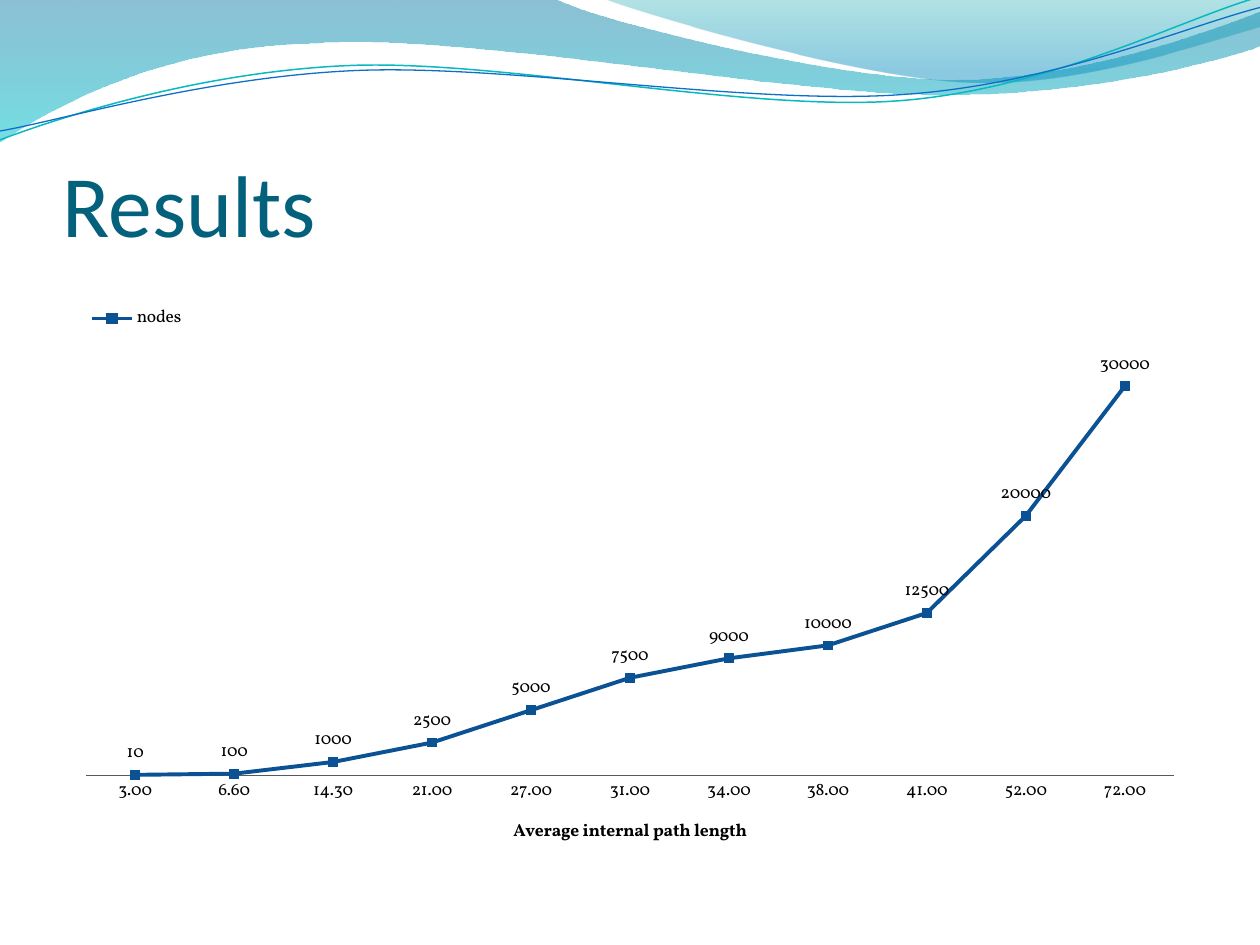
from math import cos, radians, sin

from lxml.etree import SubElement
from pptx import Presentation
from pptx.chart.data import CategoryChartData
from pptx.dml.color import RGBColor
from pptx.enum.chart import (XL_CHART_TYPE, XL_LABEL_POSITION, XL_LEGEND_POSITION,
                             XL_MARKER_STYLE, XL_TICK_MARK)
from pptx.enum.text import MSO_ANCHOR
from pptx.oxml.ns import qn
from pptx.util import Inches, Pt

COLORS = {
    "title": "04617B", "text": "000000", "axis": "595959", "nodes": "0B5294",
    "band_top": "0074A1", "band_bottom": "00C6CF",
    "crest_top": "00A1A9", "crest_bottom": "008BBF",
    "teal_line": "0AB8BF", "blue_line": "0F6FC6",
}
WAVE_TILT = -2.7

# Each outline is a start point followed by segments:
# two numbers for a straight line, six for a cubic curve.
BAND = [(0, 0), (4.4, -0.01), (4.76, 0.17, 6.64, 0.63, 7.58, 0.63),
        (8.53, 0.63, 9.58, 0.26, 10, 0.09), (10.01, 0.36),
        (9.83, 0.44, 8.7, 0.76, 7.46, 0.75), (6.22, 0.75, 3.82, 0.28, 2.57, 0.34),
        (1.29, 0.36, 0.46, 0.83, -0.01, 1.13)]
CREST = [(4.79, -0.01), (5.09, 0.11, 6.82, 0.62, 7.69, 0.65),
         (8.56, 0.69, 9.61, 0.32, 10, 0.21), (10, 0)]
TEAL_WAVE = [(0, 1.11), (0.48, 0.93, 1.58, 0.57, 2.77, 0.52),
             (3.95, 0.47, 5.93, 0.89, 7.13, 0.8), (8.33, 0.71, 9.38, 0.15, 9.98, -0.02)]
BLUE_WAVE = [(0, 1.04), (0.47, 0.96, 1.64, 0.61, 2.83, 0.56),
             (4.03, 0.51, 5.97, 0.84, 7.17, 0.75), (8.36, 0.67, 9.41, 0.21, 10, 0.06)]

NODES_BY_PATH_LENGTH = {
    3: 10, 6.6: 100, 14.3: 1000, 21: 2500, 27: 5000, 31: 7500,
    34: 9000, 38: 10000, 41: 12500, 52: 20000, 72: 30000,
}


def color(name):
    return RGBColor.from_string(COLORS[name])


def level(segment, center):
    """Turn a segment's points about center so that the tilt is taken out."""
    cosine, sine = cos(radians(-WAVE_TILT)), sin(radians(-WAVE_TILT))
    turned = []
    for x, y in zip(segment[::2], segment[1::2]):
        dx, dy = x - center[0], y - center[1]
        turned += [center[0] + dx * cosine - dy * sine,
                   center[1] + dx * sine + dy * cosine]
    return turned


def add_outline(slide, outline, closed):
    points = [(Inches(x), Inches(y)) for segment in outline
              for x, y in zip(segment[::2], segment[1::2])]
    builder = slide.shapes.build_freeform(*points[0])
    builder.add_line_segments(points[1:], close=closed)
    shape = builder.convert_to_shape()
    shape.shadow.inherit = False
    bend_curves(shape, outline)
    return shape


def bend_curves(shape, outline):
    """Join the three line steps of each cubic segment into one curve."""
    steps = iter(list(shape._element.iter(qn("a:lnTo"))))
    for segment in outline[1:]:
        first = next(steps)
        if len(segment) == 2:
            continue
        curve = first.makeelement(qn("a:cubicBezTo"))
        first.addprevious(curve)
        for step in (first, next(steps), next(steps)):
            curve.append(step[0])
            step.getparent().remove(step)


def add_gradient_wave(slide, outline, stops):
    """Stops are (position %, colour name, opacity %), from top to bottom."""
    wave = add_outline(slide, outline, closed=True)
    wave.line.fill.background()
    wave.fill.gradient()
    wave.fill.gradient_angle = 270
    for stop, (position, name, opacity) in zip(wave.fill.gradient_stops, stops):
        stop.position = position / 100
        stop.color.rgb = color(name)
    elements = wave._element.spPr.iter(qn("a:srgbClr"))
    for element, (_, _, opacity) in zip(elements, stops):
        SubElement(element, qn("a:alpha"), val=str(opacity * 1000))


def add_wave_line(slide, outline, center, name, width):
    leveled = [level(segment, center) for segment in outline]
    wave = add_outline(slide, leveled, closed=False)
    wave.rotation = WAVE_TILT
    wave.fill.background()
    wave.line.color.rgb = color(name)
    wave.line.width = Pt(width)


def add_title(slide, text):
    title = slide.shapes.add_textbox(Inches(0.5), Inches(0.77), Inches(9), Inches(1.25))
    frame = title.text_frame
    frame.word_wrap = True
    frame.vertical_anchor = MSO_ANCHOR.BOTTOM
    frame.margin_left = frame.margin_right = frame.margin_bottom = 0
    frame.margin_top = Inches(0.05)
    run = frame.paragraphs[0].add_run()
    run.text = text
    run.font.name = "Calibri"
    run.font.size = Pt(50)
    run.font.color.rgb = color("title")


def set_layout(parent, index, inner=False, **fractions):
    """Place a chart part by fractions of the chart's size."""
    for old in parent.findall(qn("c:layout")):
        parent.remove(old)
    layout = parent.makeelement(qn("c:layout"))
    parent.insert(index, layout)
    manual = SubElement(layout, qn("c:manualLayout"))
    if inner:
        SubElement(manual, qn("c:layoutTarget"), val="inner")
    for mode in ("xMode", "yMode"):
        SubElement(manual, qn(f"c:{mode}"), val="edge")
    for key, value in fractions.items():
        SubElement(manual, qn(f"c:{key}"), val=str(value))


def style_font(font, bold=False):
    font.name = "Vollkorn"
    font.size = Pt(10)
    font.bold = bold
    font.color.rgb = color("text")


def style_axes(chart):
    lengths = chart.category_axis
    lengths.major_tick_mark = lengths.minor_tick_mark = XL_TICK_MARK.NONE
    lengths.has_major_gridlines = False
    lengths.tick_labels.number_format = "0.00"
    lengths.tick_labels.number_format_is_linked = False
    lengths.format.line.color.rgb = color("axis")
    lengths.format.line.width = Pt(0.25)
    run = lengths.axis_title.text_frame.paragraphs[0].add_run()
    run.text = "Average internal path length"
    style_font(run.font, bold=True)

    counts = chart.value_axis
    counts.minimum_scale, counts.maximum_scale = 0, 35000
    counts.has_major_gridlines = False
    counts.visible = False


def style_nodes(nodes):
    nodes.smooth = False
    nodes.format.line.color.rgb = color("nodes")
    nodes.format.line.width = Pt(2.25)
    nodes.marker.style = XL_MARKER_STYLE.SQUARE
    nodes.marker.size = 5
    nodes.marker.format.fill.solid()
    nodes.marker.format.fill.fore_color.rgb = color("nodes")
    nodes.marker.format.line.color.rgb = color("nodes")
    labels = nodes.data_labels
    labels.show_value = True
    labels.position = XL_LABEL_POSITION.ABOVE
    labels.number_format = "0"
    labels.number_format_is_linked = False
    style_font(labels.font)


def add_nodes_chart(slide):
    data = CategoryChartData(number_format="0")
    data.categories = NODES_BY_PATH_LENGTH.keys()
    data.categories.number_format = "0.00"
    data.add_series("nodes", NODES_BY_PATH_LENGTH.values())
    chart = slide.shapes.add_chart(
        XL_CHART_TYPE.LINE_MARKERS_STACKED,
        Inches(0.5), Inches(2.12), Inches(9), Inches(4.8), data).chart
    style_font(chart.font)
    chart.has_title = False
    chart.has_legend = True
    chart.legend.position = XL_LEGEND_POSITION.TOP
    chart.legend.include_in_layout = False
    set_layout(chart.legend._element, 1, x=0.02, y=0.05, w=0.09, h=0.07)
    plot = chart.plots[0]
    plot.vary_by_categories = False
    set_layout(plot._element.getparent(), 0, inner=True, x=0.02, y=0.09, w=0.96, h=0.75)
    style_axes(chart)
    style_nodes(plot.series[0])


def main():
    deck = Presentation()
    deck.slide_width, deck.slide_height = Inches(10), Inches(7.5)
    slide = deck.slides.add_slide(deck.slide_layouts[6])
    add_gradient_wave(slide, BAND, [(0, "band_top", 45), (100, "band_bottom", 55)])
    add_gradient_wave(slide, CREST, [(0, "crest_top", 30), (80, "crest_bottom", 45)])
    add_wave_line(slide, TEAL_WAVE, (4.99, 0.57), "teal_line", 0.85)
    add_wave_line(slide, BLUE_WAVE, (5, 0.59), "blue_line", 0.75)
    add_title(slide, "Results")
    add_nodes_chart(slide)
    deck.save("out.pptx")


if __name__ == "__main__":
    main()
